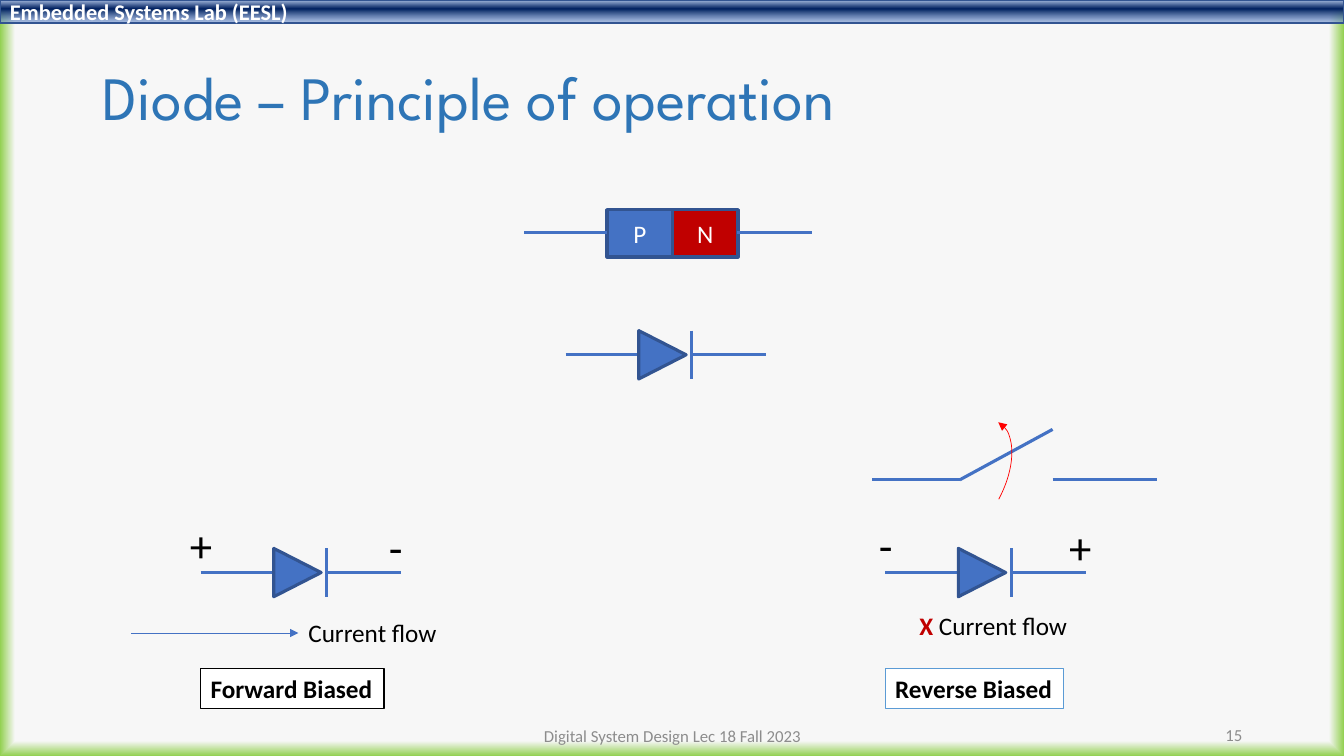
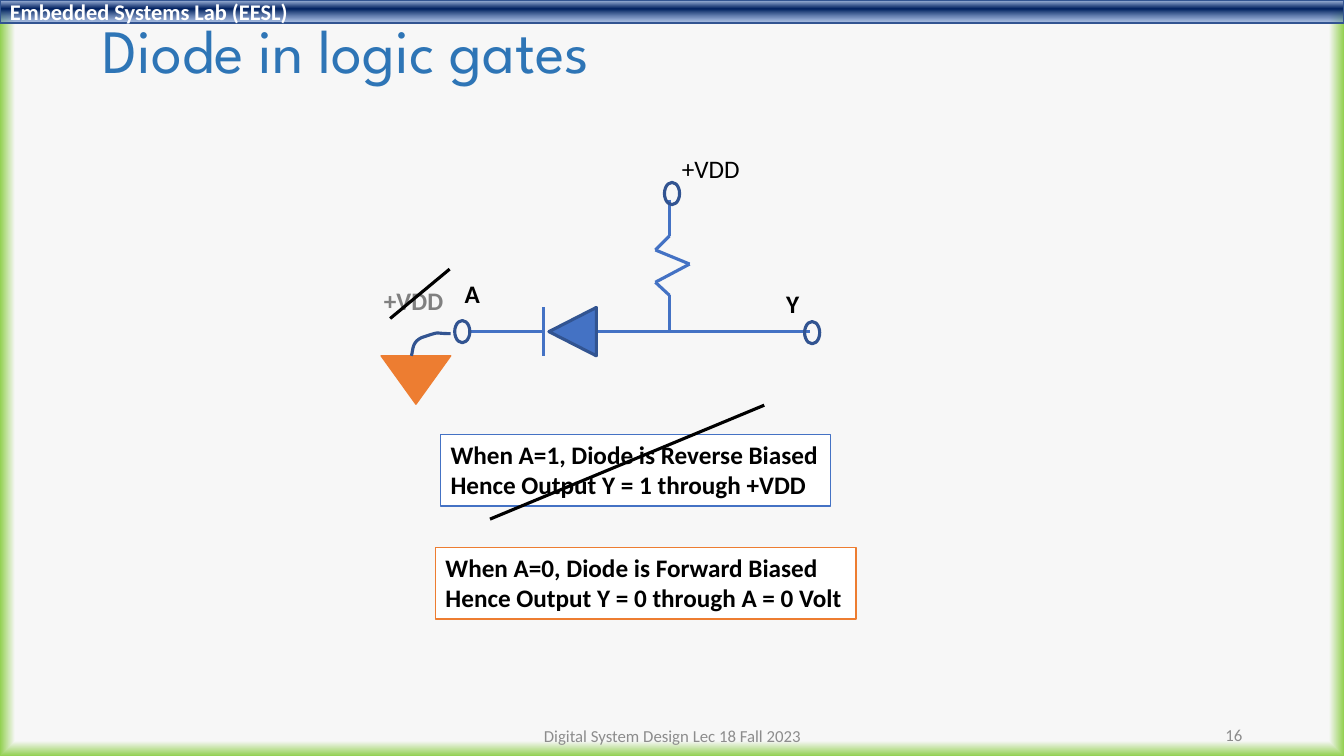
from dataclasses import dataclass

from lxml import etree
from pptx import Presentation
from pptx.dml.color import RGBColor
from pptx.enum.dml import MSO_PATTERN
from pptx.enum.shapes import MSO_CONNECTOR, MSO_SHAPE
from pptx.enum.text import MSO_ANCHOR, MSO_AUTO_SIZE, PP_ALIGN
from pptx.oxml.ns import qn
from pptx.util import Inches, Pt

WHITE = RGBColor(0xFF, 0xFF, 0xFF)
BLACK = RGBColor(0, 0, 0)
PALE = RGBColor(0xF7, 0xF7, 0xF7)
GREEN = RGBColor(0x92, 0xD0, 0x50)
BAND_TOP = RGBColor(0xAB, 0xC0, 0xE4)
BAND_NAVY = RGBColor(0x00, 0x20, 0x60)
BAND_BOTTOM = RGBColor(0x7E, 0x9E, 0xD6)
TITLE_BLUE = RGBColor(0x2E, 0x75, 0xB6)
BLUE = RGBColor(0x44, 0x72, 0xC4)
DARK_BLUE = RGBColor(0x32, 0x54, 0x91)
SKY = RGBColor(0x5B, 0x9B, 0xD5)
ORANGE = RGBColor(0xED, 0x7D, 0x31)
CRIMSON = RGBColor(0xC0, 0, 0)
RED = RGBColor(0xFF, 0, 0)
GREY = RGBColor(0x80, 0x80, 0x80)
FOOTER_GREY = RGBColor(0x8C, 0x8C, 0x8C)

LEFT, CENTER, RIGHT = PP_ALIGN.LEFT, PP_ALIGN.CENTER, PP_ALIGN.RIGHT
TOP, MIDDLE = MSO_ANCHOR.TOP, MSO_ANCHOR.MIDDLE
RECT, OVAL = MSO_SHAPE.RECTANGLE, MSO_SHAPE.OVAL
TRIANGLE, ARC = MSO_SHAPE.ISOSCELES_TRIANGLE, MSO_SHAPE.ARC
STRAIGHT = MSO_CONNECTOR.STRAIGHT
FIT_TEXT = MSO_AUTO_SIZE.SHAPE_TO_FIT_TEXT
STRIPES = MSO_PATTERN.DARK_HORIZONTAL

SLIDE_W, SLIDE_H = 13.33, 7.5
WIRE_WIDTH = 2.25


@dataclass(frozen=True)
class Style:
    size: float = 18
    color: RGBColor = BLACK
    bold: bool = False
    font: str = "Calibri"


PLAIN = Style()
BOLD = Style(bold=True)
TITLE = Style(44, TITLE_BLUE, font="League Spartan")
BAND = Style(16, WHITE, True)
FOOTER = Style(12, FOOTER_GREY)
SIGN = Style(32)
REGION = Style(color=WHITE)
NO_FLOW = Style(color=CRIMSON, bold=True)
STRUCK = Style(color=GREY, bold=True)


def inches(*values):
    return [Inches(value) for value in values]


def write(frame, paragraphs, align=LEFT, anchor=TOP, spacing=None):
    """Fill a frame with paragraphs, each a list of (text, style) runs."""
    frame.vertical_anchor = anchor
    for index, runs in enumerate(paragraphs):
        paragraph = frame.add_paragraph() if index else frame.paragraphs[0]
        paragraph.alignment = align
        paragraph.line_spacing = spacing
        for text, style in runs:
            run = paragraph.add_run()
            run.text = text
            run.font.name = style.font
            run.font.size = Pt(style.size)
            run.font.bold = style.bold
            run.font.color.rgb = style.color


def add_text(slide, at, text, style, align=LEFT, spacing=None):
    frame = slide.shapes.add_textbox(*inches(*at)).text_frame
    frame.word_wrap = True
    write(frame, [[(text, style)]], align, MIDDLE, spacing)


def add_label(slide, at, paragraphs, border=None):
    """A box that hugs its text; with a border it is also filled white."""
    box = slide.shapes.add_textbox(*inches(*at))
    box.text_frame.word_wrap = False
    box.text_frame.auto_size = FIT_TEXT
    if border is not None:
        box.fill.solid()
        box.fill.fore_color.rgb = WHITE
        box.line.color.rgb = border
        box.line.width = Pt(1)
    write(box.text_frame, paragraphs)


def outline(shape, color, width):
    shape.shadow.inherit = False
    shape.line.color.rgb = color
    shape.line.width = Pt(width)


def add_shape(slide, kind, at, fill=None, line=DARK_BLUE, width=WIRE_WIDTH, rotation=0):
    shape = slide.shapes.add_shape(kind, *inches(*at))
    shape.rotation = rotation
    outline(shape, line, width)
    if fill is None:
        shape.fill.background()
    else:
        shape.fill.solid()
        shape.fill.fore_color.rgb = fill
    return shape


def add_arrowhead(shape, end):
    etree.SubElement(shape.line._get_or_add_ln(), qn(f"a:{end}"), type="triangle")


def add_wire(slide, start, end, color=BLUE, width=WIRE_WIDTH):
    wire = slide.shapes.add_connector(STRAIGHT, *inches(*start, *end))
    wire.line.color.rgb = color
    wire.line.width = Pt(width)
    etree.SubElement(wire._element.spPr, qn("a:effectLst"))
    return wire


def set_gradient(fill, element, stops):
    """Start a gradient of (percent, colour, opacity) stops and return its XML."""
    fill.gradient()
    gradient = next(element.iter(qn("a:gradFill")))
    gradient.clear()
    gradient.set("rotWithShape", "1")
    stop_list = etree.SubElement(gradient, qn("a:gsLst"))
    for percent, color, opacity in stops:
        stop = etree.SubElement(stop_list, qn("a:gs"), pos=str(percent * 1000))
        tint = etree.SubElement(stop, qn("a:srgbClr"), val=str(color))
        if opacity < 100:
            etree.SubElement(tint, qn("a:alpha"), val=str(opacity * 1000))
    return gradient


def add_glow_background(slide):
    gradient = set_gradient(slide.background.fill, slide.element,
                            [(96, PALE, 100), (100, GREEN, 100)])
    outward = etree.SubElement(gradient, qn("a:path"), path="shape")
    etree.SubElement(outward, qn("a:fillToRect"),
                     {side: "50000" for side in "ltrb"})


def add_band(slide):
    band = add_shape(slide, RECT, (0, 0, SLIDE_W, 0.23), width=1)
    gradient = set_gradient(band.fill, band._element, [
        (2, BAND_TOP, 100), (38, BAND_NAVY, 100), (93, BAND_BOTTOM, 64)])
    etree.SubElement(gradient, qn("a:lin"), ang="5400000", scaled="0")
    write(band.text_frame, [[("Embedded Systems Lab (EESL)", BAND)]], anchor=MIDDLE)


def start_slide(deck, title, number, title_top, title_height):
    slide = deck.slides.add_slide(deck.slide_layouts[6])
    add_glow_background(slide)
    add_band(slide)
    add_text(slide, (0.92, title_top, 11.5, title_height), title, TITLE, spacing=0.9)
    add_text(slide, (4.42, 7.1, 4.5, 0.4), "Digital System Design Lec 18 Fall 2023",
             FOOTER, CENTER)
    add_text(slide, (9.42, 7.09, 3, 0.4), str(number), FOOTER, RIGHT)
    return slide


def add_diode(slide, x, y, direction=1):
    """Diode whose anode wire starts at x; direction -1 points it left."""
    tip, bar, end = (x + direction * offset for offset in (0.73, 1.25, 1.99))
    middle = x + direction * 0.96
    add_wire(slide, (x, y), (tip, y))
    add_shape(slide, TRIANGLE, (middle - 0.24, y - 0.235, 0.48, 0.47), BLUE,
              rotation=90 * direction % 360)
    add_wire(slide, (bar, y - 0.24), (bar, y + 0.24))
    add_wire(slide, (bar, y), (end, y))


def add_pn_junction(slide):
    top, side, height, wire_y = 2.08, 0.65, 0.47, 2.31
    for x, letter, color in ((6.02, "P", BLUE), (6.67, "N", CRIMSON)):
        region = add_shape(slide, RECT, (x, top, side, height), color)
        write(region.text_frame, [[(letter, REGION)]], CENTER, MIDDLE)
    for start, end in ((5.2, 6.02), (7.31, 8.05)):
        add_wire(slide, (start, wire_y), (end, wire_y))


def add_bias_case(slide, x, signs, name, name_width, border):
    for sign, left, top in zip(signs, (x - 0.26, x + 1.67), (5.14, 5.16)):
        add_text(slide, (left, top, 0.53, 0.52), sign, SIGN, CENTER)
    add_diode(slide, x, 5.68)
    add_label(slide, (x, 6.63, name_width, 0.4), [[(name, BOLD)]], border)


def add_open_switch(slide):
    contact, y = (9.52, 4.76), 4.76
    add_wire(slide, (8.65, y), contact)
    add_wire(slide, (10.44, y), (11.48, y))
    add_wire(slide, contact, (10.44, 4.26))
    swing = add_shape(slide, ARC, (9.22, 4.11, 0.73, 1.34), line=RED, width=0.5,
                      rotation=28.2)
    add_arrowhead(swing, "headEnd")


def add_curve(slide, start, segments, steps=8):
    """Open outline through cubic Bezier segments of three points each."""
    points, here = [], start
    for first, second, end in segments:
        for step in range(1, steps + 1):
            t = step / steps
            weights = ((1 - t) ** 3, 3 * t * (1 - t) ** 2, 3 * t * t * (1 - t), t ** 3)
            controls = (here, first, second, end)
            points.append(tuple(
                Inches(sum(w * c[axis] for w, c in zip(weights, controls)))
                for axis in (0, 1)))
        here = end
    builder = slide.shapes.build_freeform(*inches(*start))
    builder.add_line_segments(points, close=False)
    curve = builder.convert_to_shape()
    curve.fill.background()
    outline(curve, DARK_BLUE, WIRE_WIDTH)


def add_ground(slide):
    ground = add_shape(slide, TRIANGLE, (3.78, 3.53, 0.69, 0.48), ORANGE, ORANGE, 1, 180)
    ground.fill.patterned()
    ground.fill.pattern = STRIPES
    ground.fill.fore_color.rgb = ORANGE
    ground.fill.back_color.rgb = WHITE
    add_curve(slide, (4.08, 3.53), [
        ((4.09, 3.5), (4.09, 3.47), (4.1, 3.44)),
        ((4.11, 3.4), (4.14, 3.37), (4.18, 3.35)),
        ((4.21, 3.34), (4.24, 3.33), (4.27, 3.32)),
        ((4.37, 3.29), (4.31, 3.31), (4.47, 3.31))])


def add_pull_up_resistor(slide):
    bends = [(6.64, 1.98), (6.64, 2.34), (6.5, 2.48), (6.84, 2.62),
             (6.5, 2.8), (6.64, 2.93), (6.64, 3.29)]
    for start, end in zip(bends, bends[1:]):
        add_wire(slide, start, end)


def build_principle_slide(deck):
    slide = start_slide(deck, "Diode – Principle of operation", 15, 0.4, 1.2)
    add_pn_junction(slide)
    add_diode(slide, 5.61, 3.52)
    add_bias_case(slide, 1.99, "+-", "Forward Biased", 1.82, BLACK)
    flow = add_wire(slide, (1.3, 6.28), (2.96, 6.28), width=0.5)
    add_arrowhead(flow, "tailEnd")
    add_label(slide, (2.96, 6.08, 1.49, 0.4), [[("Current flow", PLAIN)]])
    add_bias_case(slide, 8.78, "-+", "Reverse Biased", 1.77, SKY)
    add_label(slide, (9.02, 6.01, 1.68, 0.4),
              [[("X", NO_FLOW), (" Current flow", PLAIN)]])
    add_open_switch(slide)


def build_logic_slide(deck):
    slide = start_slide(deck, "Diode in logic gates", 16, 0.15, 0.77)
    add_pull_up_resistor(slide)
    add_diode(slide, 6.64, 3.29, direction=-1)
    add_wire(slide, (6.62, 3.29), (8.03, 3.29))
    for x, y in ((7.98, 3.19), (4.51, 3.18), (6.59, 1.81)):
        add_shape(slide, OVAL, (x, y, 0.15, 0.22))
    add_text(slide, (6.65, 1.4, 0.8, 0.55), "+VDD", PLAIN, CENTER)
    add_label(slide, (4.51, 2.71, 0.35, 0.4), [[("A", BOLD)]])
    add_label(slide, (7.7, 2.81, 0.33, 0.4), [[("Y", BOLD)]])
    add_label(slide, (4.37, 4.31, 3.87, 0.71), [
        [("When A=1, Diode is Reverse Biased", BOLD)],
        [("Hence Output Y = 1 through +VDD", BOLD)]], BLUE)
    add_label(slide, (4.32, 5.43, 4.17, 0.71), [
        [("When A=0, Diode is Forward Biased", BOLD)],
        [("Hence Output Y = 0 through A = 0 Volt", BOLD)]], ORANGE)
    add_label(slide, (3.71, 2.78, 0.8, 0.4), [[("+VDD", STRUCK)]])
    add_ground(slide)
    for start, end in (((3.87, 3.16), (4.46, 2.67)), ((4.86, 5.15), (7.58, 4.02))):
        add_wire(slide, start, end, BLACK)


def main():
    deck = Presentation()
    deck.slide_width, deck.slide_height = inches(SLIDE_W, SLIDE_H)
    build_principle_slide(deck)
    build_logic_slide(deck)
    deck.save("out.pptx")


if __name__ == "__main__":
    main()
